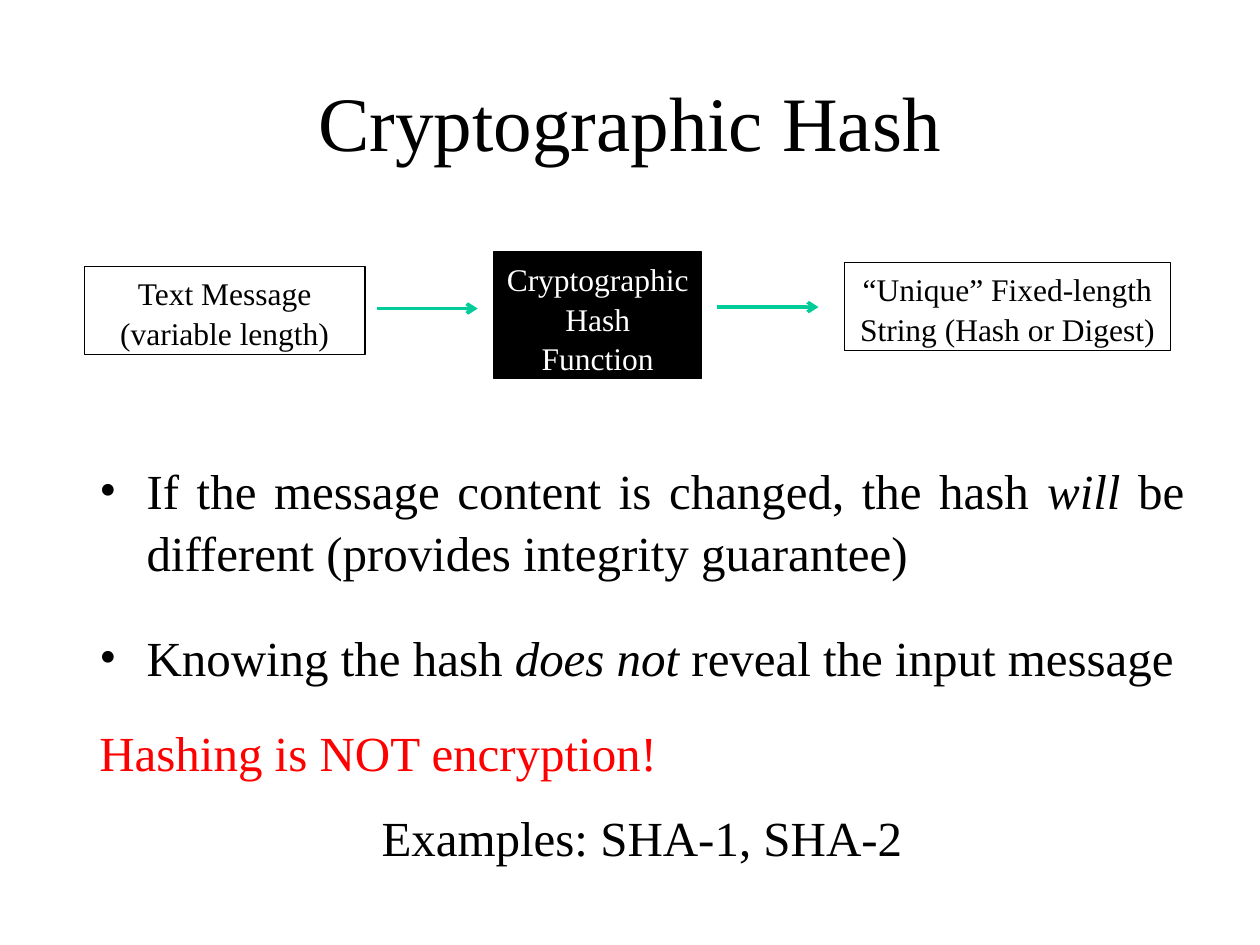
from dataclasses import dataclass

from lxml import etree
from pptx import Presentation
from pptx.dml.color import RGBColor
from pptx.enum.shapes import MSO_CONNECTOR, MSO_SHAPE
from pptx.enum.text import MSO_ANCHOR, MSO_AUTO_SIZE, PP_ALIGN
from pptx.oxml.ns import qn
from pptx.util import Cm, Pt

BLACK = RGBColor(0x00, 0x00, 0x00)
WHITE = RGBColor(0xFF, 0xFF, 0xFF)
RED = RGBColor(0xFF, 0x00, 0x00)
GREEN = RGBColor(0x00, 0xCC, 0x99)

CENTER, JUSTIFY, LEFT = PP_ALIGN.CENTER, PP_ALIGN.JUSTIFY, PP_ALIGN.LEFT
RECTANGLE = MSO_SHAPE.RECTANGLE
STRAIGHT = MSO_CONNECTOR.STRAIGHT
MIDDLE, TOP = MSO_ANCHOR.MIDDLE, MSO_ANCHOR.TOP
NO_AUTOFIT = MSO_AUTO_SIZE.NONE

FONT = "Times New Roman"
LINE_SPACING = 1.05


@dataclass
class Stage:
    lines: list[str]
    left: float
    top: float
    width: float
    height: float
    filled: bool = False


@dataclass
class Arrow:
    start: float
    end: float
    y: float


@dataclass
class Point:
    runs: list[tuple[str, bool]]  # wording, italic
    align: PP_ALIGN
    space_after: int
    bullet: bool = False
    color: RGBColor = BLACK


STAGES = [
    Stage(["Text Message", "(variable length)"], 1.7, 5.37, 5.66, 1.78),
    Stage(["Cryptographic Hash Function"], 9.95, 5.08, 4.2, 2.55, filled=True),
    Stage(["“Unique” Fixed-length String (Hash or Digest)"], 17.02, 5.29, 6.58, 1.78),
]
ARROWS = [Arrow(7.59, 9.63, 6.22), Arrow(14.46, 16.5, 6.19)]
POINTS = [
    Point(
        [
            ("If the message content is changed, the hash ", False),
            ("will", True),
            (" be different (provides integrity guarantee)", False),
        ],
        JUSTIFY, 18, bullet=True,
    ),
    Point(
        [
            ("Knowing the hash ", False),
            ("does not", True),
            (" reveal the input message", False),
        ],
        JUSTIFY, 12, bullet=True,
    ),
    Point([("Hashing is NOT encryption!", False)], LEFT, 6, color=RED),
    Point([("Examples: SHA-1, SHA-2", False)], CENTER, 6),
]


def add_run(paragraph, text: str, *, size: int, color: RGBColor = BLACK,
            italic: bool = False) -> None:
    run = paragraph.add_run()
    run.text = text
    run.font.name = FONT
    run.font.size = Pt(size)
    run.font.color.rgb = color
    run.font.italic = italic


def place(shape, left: float, top: float, width: float, height: float) -> None:
    shape.left, shape.top = Cm(left), Cm(top)
    shape.width, shape.height = Cm(width), Cm(height)


def paragraphs(frame, count: int) -> list:
    return [frame.paragraphs[0]] + [frame.add_paragraph() for _ in range(count - 1)]


def set_bullet(paragraph, bullet: bool) -> None:
    """Give the paragraph its hanging indent, with or without a bullet."""
    properties = paragraph._p.get_or_add_pPr()
    properties.set("marL", str(Cm(1.43)))
    properties.set("indent", str(Cm(-0.95)))
    if bullet:
        etree.SubElement(properties, qn("a:buFont")).set("typeface", FONT)
        etree.SubElement(properties, qn("a:buChar")).set("char", "•")
    else:
        etree.SubElement(properties, qn("a:buNone"))


def add_title(slide, text: str) -> None:
    title = slide.shapes.title
    place(title, 1.9, 0.84, 21.6, 3.18)
    frame = title.text_frame
    frame.auto_size = NO_AUTOFIT
    frame.vertical_anchor = MIDDLE
    paragraph = frame.paragraphs[0]
    paragraph.alignment = CENTER
    add_run(paragraph, text, size=44)


def add_points(slide, points: list[Point]) -> None:
    body = slide.placeholders[1]
    place(body, 1.27, 9.1, 22.86, 9.73)
    frame = body.text_frame
    frame.auto_size = NO_AUTOFIT
    frame.vertical_anchor = TOP
    for paragraph, point in zip(paragraphs(frame, len(points)), points):
        paragraph.alignment = point.align
        paragraph.line_spacing = LINE_SPACING
        paragraph.space_before = Pt(7)
        paragraph.space_after = Pt(point.space_after)
        set_bullet(paragraph, point.bullet)
        for text, italic in point.runs:
            add_run(paragraph, text, size=28, color=point.color, italic=italic)


def add_stage(slide, stage: Stage) -> None:
    box = slide.shapes.add_shape(RECTANGLE, Cm(stage.left), Cm(stage.top),
                                 Cm(stage.width), Cm(stage.height))
    box.shadow.inherit = False
    box.line.color.rgb = BLACK
    box.line.width = Pt(0.75)
    if stage.filled:
        box.fill.solid()
        box.fill.fore_color.rgb = BLACK
    else:
        box.fill.background()
    frame = box.text_frame
    frame.word_wrap = True
    frame.vertical_anchor = TOP
    for paragraph, line in zip(paragraphs(frame, len(stage.lines)), stage.lines):
        paragraph.alignment = CENTER
        paragraph.line_spacing = LINE_SPACING
        add_run(paragraph, line, size=18, color=WHITE if stage.filled else BLACK)


def add_arrow(slide, arrow: Arrow) -> None:
    connector = slide.shapes.add_connector(STRAIGHT, Cm(arrow.start), Cm(arrow.y),
                                           Cm(arrow.end), Cm(arrow.y))
    connector.line.color.rgb = GREEN
    connector.line.width = Pt(2)
    etree.SubElement(connector.line._get_or_add_ln(), qn("a:tailEnd")).set("type", "arrow")
    etree.SubElement(connector._element.spPr, qn("a:effectLst"))


def main() -> None:
    presentation = Presentation()
    presentation.slide_width, presentation.slide_height = Cm(25.4), Cm(19.05)
    slide = presentation.slides.add_slide(presentation.slide_layouts[1])
    add_title(slide, "Cryptographic Hash")
    add_points(slide, POINTS)
    for stage in STAGES:
        add_stage(slide, stage)
    for arrow in ARROWS:
        add_arrow(slide, arrow)
    presentation.save("out.pptx")


if __name__ == "__main__":
    main()
